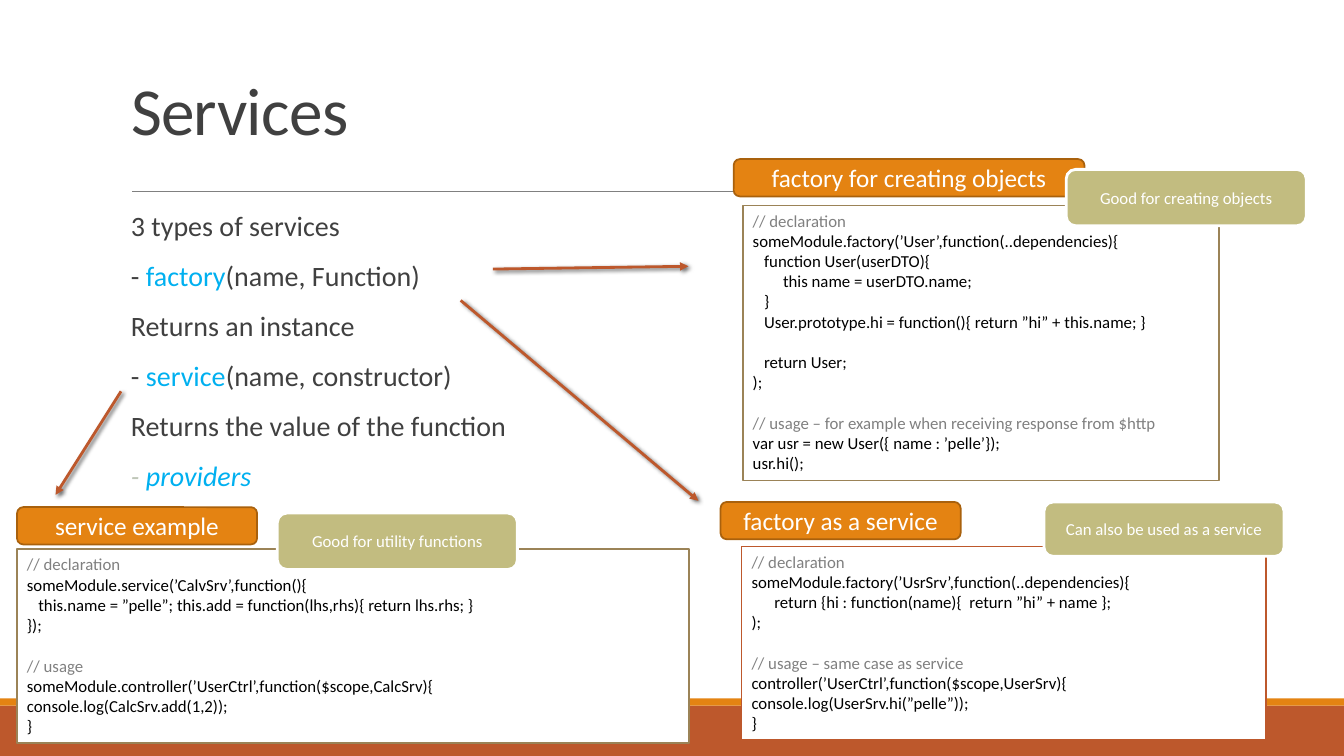
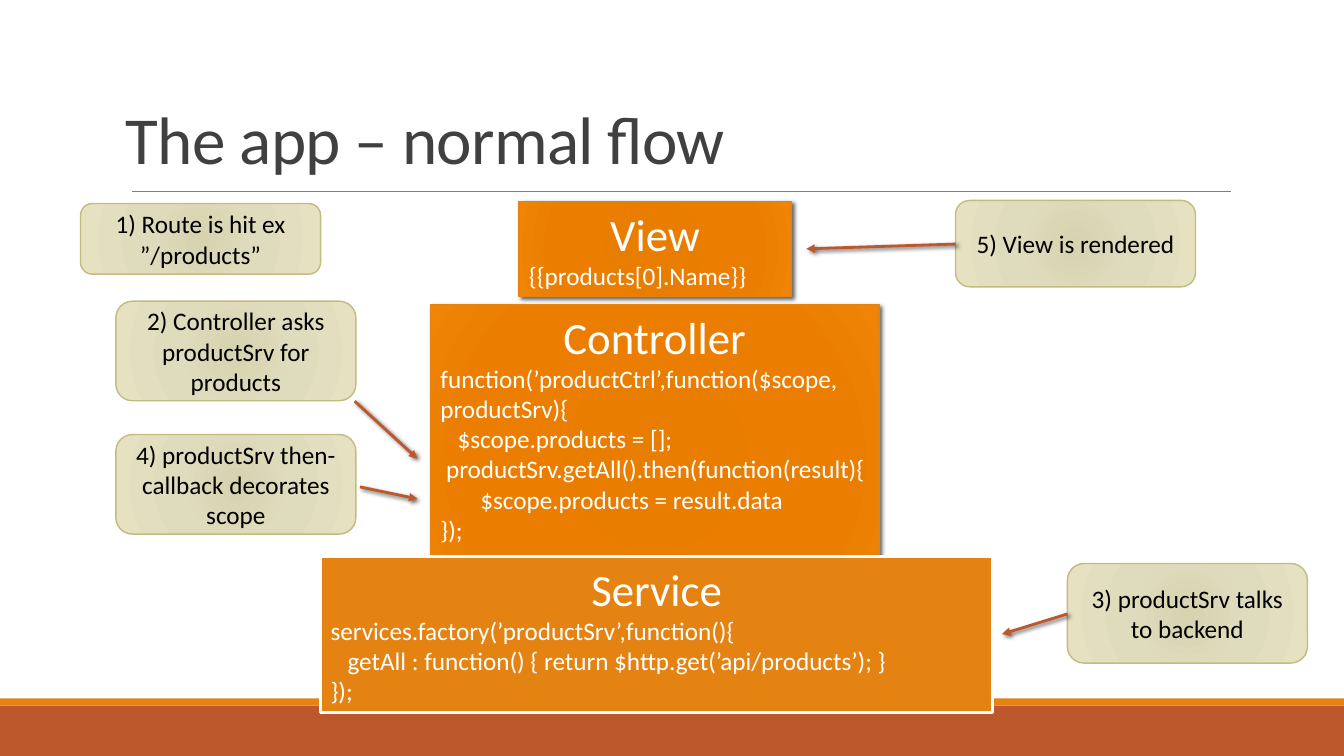
"""Build two slides on services and the normal flow of the app."""
import lxml.etree
import pptx
import pptx.dml.color
import pptx.enum.shapes
import pptx.enum.text
import pptx.oxml
import pptx.oxml.ns
import pptx.util

Cm, Pt = pptx.util.Cm, pptx.util.Pt
qn = pptx.oxml.ns.qn
SHAPE = pptx.enum.shapes.MSO_SHAPE
ALIGN = pptx.enum.text.PP_ALIGN
ANCHOR = pptx.enum.text.MSO_ANCHOR

COLORS = {
    "white": "FFFFFF", "black": "000000", "text": "404040", "comment": "808080",
    "orange": "E48312", "amber": "A9610D", "rust": "BD582C", "brown": "9B8357",
    "olive": "C2BC80", "blue": "00B0F0", "pale": "BFC6B8",
}
GRADIENTS = {
    "orange": [(0, "E57B00"), (34, "E87D00"), (70, "EB7E00"), (100, "EF8407")],
    "olive": [(0, "D7D3AF"), (45, "DFDBBD"), (100, "E5E1C1")],
}
SPACE_WIDTH = 0.226
LINE_HEIGHT = 1.22


class Deck:
    font = "Calibri"
    note_width = 6.05

    def __init__(self):
        self.prs = pptx.Presentation()
        self.prs.slide_width, self.prs.slide_height = Cm(33.87), Cm(19.05)
        self.s = None

    def color(self, name):
        return pptx.dml.color.RGBColor.from_string(COLORS[name])

    def place(self, sp, box):
        sp.left, sp.top, sp.width, sp.height = [Cm(v) for v in box]

    def run(self, p, text, size, color, italic=None):
        r = p.add_run()
        r.text = text
        r.font.name, r.font.size, r.font.italic = self.font, Pt(size), italic
        r.font.color.rgb = self.color(color)
        return r

    def slide(self, layout, title, left, top):
        self.s = self.prs.slides.add_slide(self.prs.slide_layouts[layout])
        self.shape((0, 17.78, 33.87, 1.27), "rust")
        self.shape((0, 17.6, 33.87, 0.18), "orange")
        self.line((3.33, 4.83), (31.01, 4.83), "comment", 0.5)
        sp = self.s.shapes.title
        self.place(sp, (left, top, 27.94, 4.04))
        tf = sp.text_frame
        tf.vertical_anchor = ANCHOR.BOTTOM
        tf.auto_size = pptx.enum.text.MSO_AUTO_SIZE.NONE
        p = tf.paragraphs[0]
        p.alignment, p.line_spacing = ALIGN.LEFT, 0.85
        r = self.run(p, title, 48, "text")
        r.font._element.set("spc", "-50")

    def body(self, box, rows):
        sp = self.s.placeholders[1]
        self.place(sp, box)
        tf = sp.text_frame
        tf.auto_size = pptx.enum.text.MSO_AUTO_SIZE.NONE
        tf.margin_left = tf.margin_right = 0
        for i, row in enumerate(rows):
            p = tf.add_paragraph() if i else tf.paragraphs[0]
            p.line_spacing, p.space_before, p.space_after = 0.9, Pt(12), Pt(2)
            pPr = p._p.get_or_add_pPr()
            pPr.set("marL", str(Cm(0.25)))
            pPr.set("indent", "0")
            lxml.etree.SubElement(pPr, qn("a:buNone"))
            for text, color, italic in row:
                self.run(p, text, 20, color, italic)

    def shape(self, box, fill, line=None, width=1.25, kind=SHAPE.RECTANGLE):
        sp = self.s.shapes.add_shape(kind, *[Cm(v) for v in box])
        sp.fill.solid()
        sp.fill.fore_color.rgb = self.color(fill)
        if line:
            sp.line.color.rgb = self.color(line)
            sp.line.width = Pt(width)
        else:
            sp.line.fill.background()
        sp.shadow.inherit = False
        return sp

    def gradient(self, sp, name):
        stops = "".join(
            f'<a:gs pos="{pos * 1000}"><a:srgbClr val="{rgb}"/></a:gs>'
            for pos, rgb in GRADIENTS[name])
        grad = pptx.oxml.parse_xml(
            f'<a:gradFill {pptx.oxml.ns.nsdecls("a")} rotWithShape="1">'
            f'<a:gsLst>{stops}</a:gsLst><a:path path="circle"><a:fillToRect '
            'l="100000" t="100000" r="100000" b="100000"/></a:path></a:gradFill>')
        spPr = sp._element.spPr
        spPr.replace(spPr.find(qn("a:solidFill")), grad)

    def shadow(self, sp):
        spPr = sp._element.spPr
        effects = spPr.find(qn("a:effectLst"))
        if effects is None:
            effects = lxml.etree.SubElement(spPr, qn("a:effectLst"))
        effects.append(pptx.oxml.parse_xml(
            f'<a:outerShdw {pptx.oxml.ns.nsdecls("a")} blurRad="{Pt(3)}" '
            f'dist="{Pt(2)}" dir="2700000" algn="ctr" rotWithShape="0">'
            '<a:srgbClr val="000000"><a:alpha val="60000"/></a:srgbClr>'
            '</a:outerShdw>'))

    def line(self, start, end, color, width):
        sp = self.s.shapes.add_connector(
            pptx.enum.shapes.MSO_CONNECTOR.STRAIGHT,
            *[Cm(v) for v in start + end])
        sp.line.color.rgb = self.color(color)
        sp.line.width = Pt(width)
        lxml.etree.SubElement(sp._element.spPr, qn("a:effectLst"))
        return sp

    def arrow(self, start, end):
        sp = self.line(start, end, "rust", 2)
        tail = lxml.etree.SubElement(sp.line._get_or_add_ln(), qn("a:tailEnd"))
        tail.set("type", "triangle")
        self.shadow(sp)

    def caption(self, sp, text, size, color):
        tf = sp.text_frame
        tf.word_wrap = True
        tf.vertical_anchor = ANCHOR.MIDDLE
        p = tf.paragraphs[0]
        p.alignment = ALIGN.CENTER
        self.run(p, text, size, color)

    def label(self, left, top, text, width=note_width):
        sp = self.shape((left, top, width, 0.94), "orange", "amber",
                        kind=SHAPE.ROUNDED_RECTANGLE)
        self.caption(sp, text, 18, "white")

    def note(self, left, top, text, height=1.42):
        sp = self.shape((left, top, self.note_width, height), "olive", "white", 2,
                        SHAPE.ROUNDED_RECTANGLE)
        self.caption(sp, text, 12, "white")

    def callout(self, left, top, text, height=2.51):
        sp = self.shape((left, top, self.note_width, height), "olive", "olive", 1,
                        SHAPE.ROUNDED_RECTANGLE)
        self.gradient(sp, "olive")
        self.caption(sp, text, 18, "black")

    def listing(self, sp, lines, size, color, heading=None):
        tf = sp.text_frame
        tf.word_wrap = True
        tf.vertical_anchor = ANCHOR.TOP
        p = tf.paragraphs[0]
        if heading:
            p.alignment = ALIGN.CENTER
            self.run(p, heading, 32, color)
            p = tf.add_paragraph()
        for i, text in enumerate(lines):
            if not text:
                continue
            if i:
                p = tf.add_paragraph()
                if not lines[i - 1]:
                    p.space_before = Pt(size * LINE_HEIGHT)
            p.alignment = ALIGN.LEFT
            code = text.lstrip()
            indent = Pt((len(text) - len(code)) * SPACE_WIDTH * size)
            p._p.get_or_add_pPr().set("marL", str(indent))
            self.run(p, code, size, "comment" if code.startswith("//") else color)

    def code(self, box, lines, line="brown"):
        self.listing(self.shape(box, "white", line), lines, 12, "black")

    def layer(self, box, heading, lines, raised=True):
        sp = self.shape(box, "orange", "orange" if raised else "white",
                        1 if raised else 2)
        if raised:
            self.gradient(sp, "orange")
            self.shadow(sp)
        self.listing(sp, lines, 18, "white", heading)


d = Deck()
d.slide(1, "Services", 3.05, -0.15)
d.body((3.05, 5.23, 15.32, 8.31), [
    [("3 types of services", "text", None)],
    [("- ", "text", None), ("factory", "blue", None),
     ("(name, Function)", "text", None)],
    [("Returns an instance", "text", None)],
    [("- ", "text", None), ("service", "blue", None),
     ("(name, constructor)", "text", None)],
    [("Returns the value of the function", "text", None)],
    [("- ", "pale", True), ("providers", "blue", True)],
])
d.code((18.72, 5.18, 12.01, 6.93), [
    "// declaration",
    "someModule.factory(’User’,function(..dependencies){",
    "   function User(userDTO){",
    "        this name = userDTO.name;",
    "   }",
    "   User.prototype.hi = function(){ return ”hi” + this.name; }",
    "",
    "   return User;",
    ");",
    "",
    "// usage – for example when receiving response from $http",
    "var usr = new User({ name : ’pelle’});",
    "usr.hi();",
])
d.code((0.43, 13.84, 16.94, 4.88), [
    "// declaration",
    "someModule.service(’CalvSrv’,function(){",
    "   this.name = ”pelle”; this.add = function(lhs,rhs){ return lhs.rhs; }",
    "});",
    "",
    "// usage",
    "someModule.controller(’UserCtrl’,function($scope,CalcSrv){",
    "console.log(CalcSrv.add(1,2));",
    "}",
])
d.label(18.49, 4.01, "factory for creating objects", 8.84)
d.label(0.43, 12.78, "service example")
d.note(26.87, 4.27, "Good for creating objects")
d.note(6.99, 12.93, "Good for utility functions")
d.label(18.16, 12.65, "factory as a service")
d.code((18.69, 13.77, 13.21, 4.88), [
    "// declaration",
    "someModule.factory(’UsrSrv’,function(..dependencies){",
    "      return {hi : function(name){  return ”hi” + name };",
    ");",
    "",
    "// usage – same case as service",
    "controller(’UserCtrl’,function($scope,UserSrv){",
    "console.log(UserSrv.hi(”pelle”));",
    "}",
], "rust")
d.note(26.31, 12.65, "Can also be used as a service", 1.37)
d.arrow((12.42, 6.78), (17.35, 6.71))
d.arrow((11.61, 7.57), (17.6, 12.62))
d.arrow((3.05, 9.86), (1.4, 12.47))

d.slide(5, "The app – normal flow", 2.92, 0.58)
d.layer((13.08, 5.08, 6.86, 2.39), "View", ["{{products[0].Name}}"])
d.layer((10.85, 7.67, 11.3, 7.77), "Controller", [
    "function(’productCtrl’,function($scope, productSrv){",
    "   $scope.products = [];",
    " productSrv.getAll().then(function(result){",
    "       $scope.products = result.data",
    "});",
])
d.layer((8.08, 14.02, 16.94, 3.94), "Service", [
    "services.factory(’productSrv’,function(){",
    "   getAll : function() { return $http.get(’api/products’); }",
    "});",
], raised=False)
d.callout(2.03, 5.13, "1) Route is hit ex ”/products”", 1.78)
d.callout(2.92, 7.59, "2) Controller asks productSrv for products")
d.callout(26.9, 14.2, "3) productSrv talks to backend")
d.callout(2.92, 10.95, "4) productSrv then-callback decorates scope")
d.callout(24.08, 5.05, "5) View is rendered", 2.18)
d.arrow((8.94, 10.11), (10.52, 11.56))
d.arrow((26.9, 15.47), (25.25, 15.98))
d.arrow((9.07, 12.27), (10.52, 12.57))
d.arrow((24.08, 6.15), (20.32, 6.27))
d.prs.save("out.pptx")
